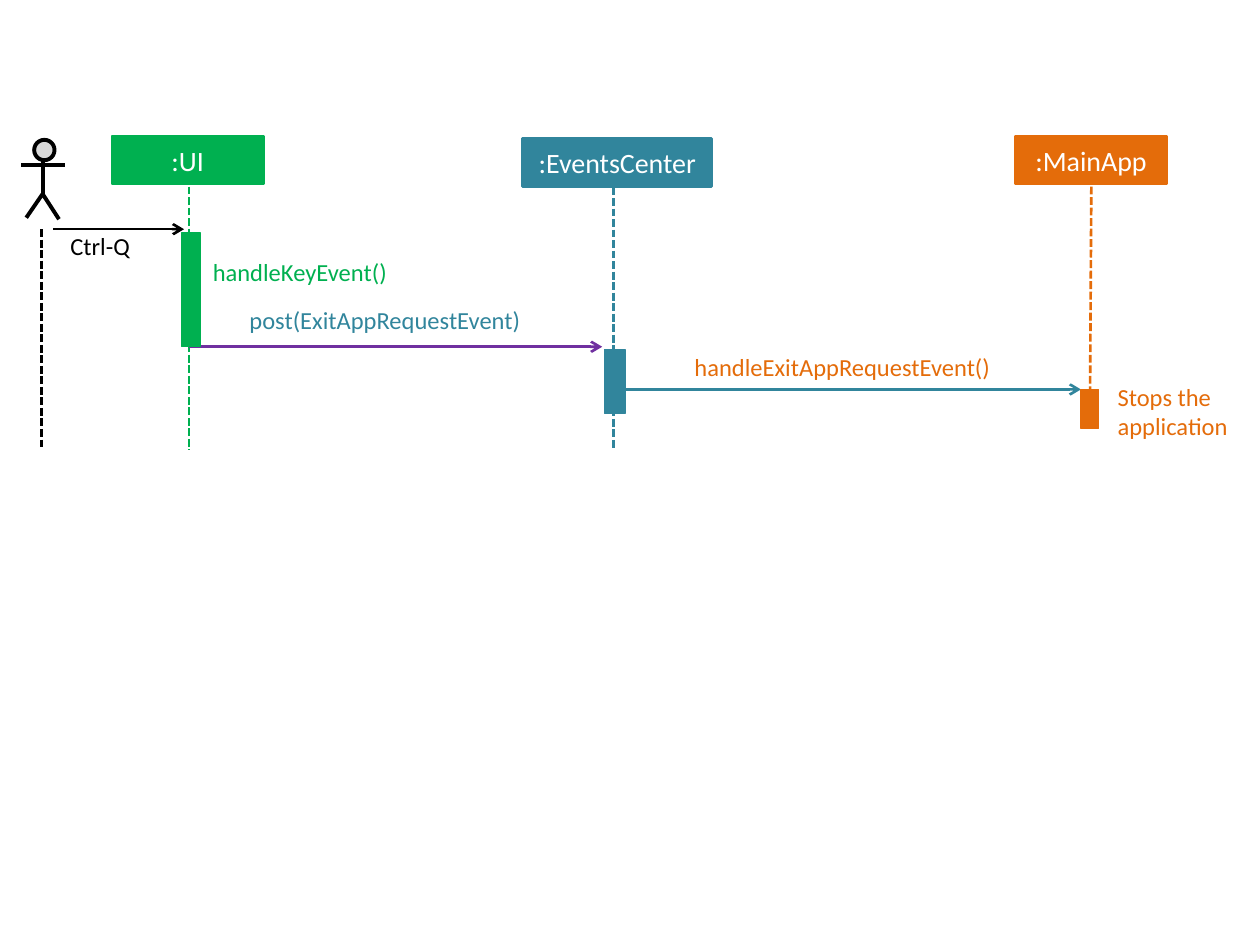
from lxml import etree
from pptx import Presentation
from pptx.dml.color import RGBColor
from pptx.enum.dml import MSO_LINE_DASH_STYLE as Dash
from pptx.enum.shapes import MSO_CONNECTOR as Conn, MSO_SHAPE as Geom
from pptx.enum.text import MSO_ANCHOR as Anchor, PP_ALIGN as Align
from pptx.oxml.ns import qn
from pptx.util import Cm, Pt

GREEN, TEAL, ORANGE = "00B050", "31859C", "E46C0A"
PURPLE, BLACK, GREY, WHITE = "7030A0", "000000", "D9D9D9", "FFFFFF"
FONT = "Calibri"

# All lengths in centimetres.
# participant: colour, header (text, box), lifeline ends, activation bar box
PARTICIPANTS = [
    (ORANGE, ":MainApp", (20.47, 2.74, 3.05, 0.97),
     (22.0, 3.76, 21.97, 8.64), (21.79, 7.85, 0.36, 0.79)),
    (TEAL, ":EventsCenter", (10.54, 2.79, 3.81, 0.97),
     (12.37, 3.78, 12.37, 9.07), (12.19, 7.04, 0.41, 1.3)),
    (GREEN, ":UI", (2.26, 2.74, 3.05, 0.97),
     (3.81, 3.76, 3.81, 9.07), (3.66, 4.7, 0.38, 2.29)),
]
ACTOR_LIFELINE = (0.84, 4.62, 0.84, 9.07)
# message: colour, from x, to x, y
MESSAGES = [
    (BLACK, 1.07, 3.71, 4.62),
    (PURPLE, 3.81, 12.14, 6.99),
    (TEAL, 12.57, 21.79, 7.85),
]
LABELS = [
    ("Ctrl-Q", BLACK, (1.42, 4.65, 2.39, 0.6)),
    ("handleKeyEvent()", GREEN, (4.29, 5.18, 3.91, 0.6)),
    ("post(ExitAppRequestEvent)", TEAL, (5.03, 6.15, 7.54, 0.6)),
    ("handleExitAppRequestEvent()", ORANGE, (14.0, 7.09, 7.39, 0.6)),
    ("Stops the application", ORANGE, (22.53, 7.7, 2.64, 1.2)),
]
ACTOR_HEAD = (0.69, 2.82, 0.41, 0.41)
ACTOR_LIMBS = [(0.86, 3.23, 0.86, 3.91), (0.43, 3.33, 1.32, 3.33)]
ACTOR_LEGS = [(0.53, 4.39), (0.86, 3.91), (1.19, 4.42)]


def rgb(color):
    """Turn a hex string into a colour."""
    return RGBColor.from_string(color)


def cm(values):
    """Turn numbers into centimetre lengths."""
    return [Cm(v) for v in values]


def set_line(s, color, width):
    """Colour and size the outline of a shape or connector."""
    s.line.color.rgb = rgb(color)
    s.line.width = Pt(width)


def add_box(shapes, geom, box, fill, line, width):
    """Add a flat filled shape."""
    s = shapes.add_shape(geom, *cm(box))
    s.shadow.inherit = False
    s.fill.solid()
    s.fill.fore_color.rgb = rgb(fill)
    set_line(s, line, width)
    return s


def add_line(shapes, ends, color, width=1.5, dashed=False, arrow=False):
    """Add a straight line, dashed or with an arrowhead if asked."""
    s = shapes.add_connector(Conn.STRAIGHT, *cm(ends))
    set_line(s, color, width)
    if dashed:
        s.line.dash_style = Dash.SQUARE_DOT
    if arrow:
        etree.SubElement(s.line._get_or_add_ln(), qn("a:tailEnd"), type="arrow")
    etree.SubElement(s._element.spPr, qn("a:effectLst"))


def write(tf, text, color, size, align, **frame):
    """Put one formatted paragraph in a text frame."""
    for name, value in frame.items():
        setattr(tf, name, value)
    p = tf.paragraphs[0]
    p.alignment = align
    r = p.add_run()
    r.text = text
    r.font.color.rgb = rgb(color)
    for name, value in {"name": FONT, "size": Pt(size)}.items():
        setattr(r.font, name, value)


def add_actor(shapes):
    """Draw the stick figure as one group."""
    parts = shapes.add_group_shape().shapes
    add_box(parts, Geom.FLOWCHART_CONNECTOR, ACTOR_HEAD, GREY, BLACK, 2.25)
    for ends in ACTOR_LIMBS:
        add_line(parts, ends, BLACK, 2.25)
    start, *rest = [cm(point) for point in ACTOR_LEGS]
    builder = parts.build_freeform(*start)
    builder.add_line_segments(rest, close=False)
    legs = builder.convert_to_shape()
    legs.shadow.inherit = False
    legs.fill.background()
    set_line(legs, BLACK, 2.25)


prs = Presentation()
prs.slide_width, prs.slide_height = cm((25.4, 19.05))
shapes = prs.slides.add_slide(prs.slide_layouts[6]).shapes

add_actor(shapes)
add_line(shapes, ACTOR_LIFELINE, BLACK, dashed=True)
for color, name, header, lifeline, bar in PARTICIPANTS:
    s = add_box(shapes, Geom.RECTANGLE, header, color, color, 1.5)
    write(s.text_frame, name, WHITE, 16, Align.CENTER,
          vertical_anchor=Anchor.MIDDLE)
    add_line(shapes, lifeline, color, dashed=True)
for color, x1, x2, y in MESSAGES:
    add_line(shapes, (x1, y, x2, y), color, arrow=True)
for color, name, header, lifeline, bar in PARTICIPANTS:
    add_box(shapes, Geom.RECTANGLE, bar, color, color, 0.75)
for text, color, box in LABELS:
    tf = shapes.add_textbox(*cm(box)).text_frame
    write(tf, text, color, 14, Align.LEFT, word_wrap=True, margin_left=0,
          margin_right=0, margin_top=0, margin_bottom=0)

prs.save("out.pptx")
